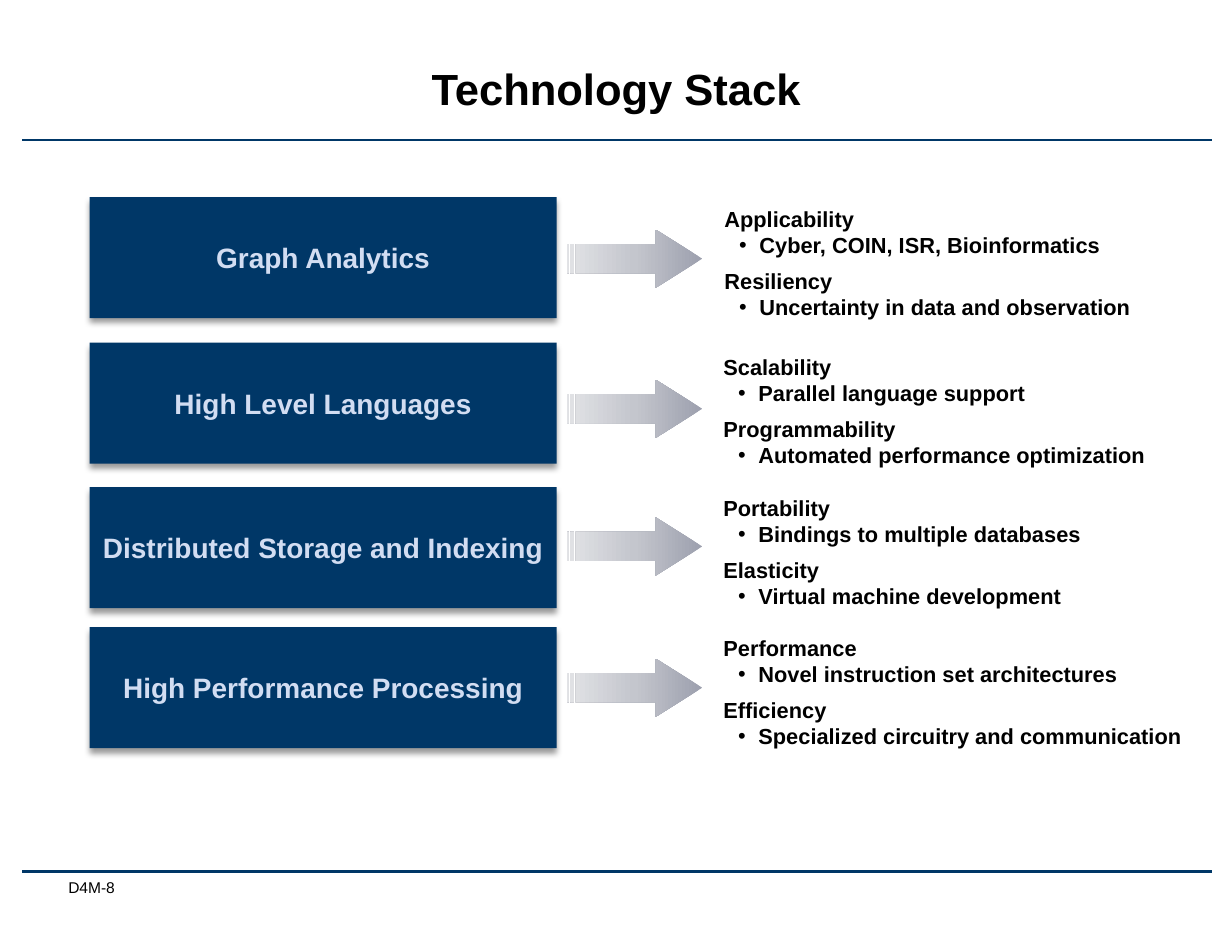
from lxml import etree
from pptx import Presentation
from pptx.dml.color import RGBColor
from pptx.enum import shapes, text
from pptx.oxml import ns
from pptx.util import Pt

NAVY = RGBColor(0x00, 0x37, 0x67)
PALE = RGBColor(0xD2, 0xDD, 0xF2)
BLACK = RGBColor(0, 0, 0)
ARROW_STOPS = [
    (0, RGBColor(0x9D, 0xA0, 0xAE)),
    (50, RGBColor(0xC4, 0xC6, 0xCD)),
    (100, RGBColor(0xE2, 0xE3, 0xE6)),
]

LAYERS = [
    ("Graph Analytics", 126.7, (458.6, 128.9, 282.2), 147.6,
     [("Applicability", "Cyber, COIN, ISR, Bioinformatics"),
      ("Resiliency", "Uncertainty in data and observation")]),
    ("High Level Languages", 220.3, (458, 223.9, 300.2), 244.1,
     [("Scalability", "Parallel language support"),
      ("Programmability", "Automated performance optimization")]),
    ("Distributed Storage and Indexing", 313.2, (458, 314.6, 288), 332.6,
     [("Portability", "Bindings to multiple databases"),
      ("Elasticity", "Virtual machine development")]),
    ("High Performance Processing", 403.2, (458, 404.6, 311.8), 423.4,
     [("Performance", "Novel instruction set architectures"),
      ("Efficiency", "Specialized circuitry and communication")]),
]


def add_xml(parent, tag, **attributes):
    return etree.SubElement(parent, ns.qn(tag), {k: str(v) for k, v in attributes.items()})


def write(para, words, size, color=BLACK, bold=True, align=None, before=None, line=None):
    span = para.add_run()
    span.text = words
    span.font.name = "Arial"
    span.font.size = Pt(size)
    span.font.bold = bold
    span.font.color.rgb = color
    para.alignment = align
    if before is not None:
        para.space_before = Pt(before)
    if line is not None:
        para.line_spacing = Pt(line)


def add_text_box(page, left, top, width, height, margins=(7.2, 3.6, 7.2, 3.6)):
    frame = page.shapes.add_textbox(Pt(left), Pt(top), Pt(width), Pt(height)).text_frame
    frame.word_wrap = True
    frame.margin_left, frame.margin_top, frame.margin_right, frame.margin_bottom = map(Pt, margins)
    return frame


def add_rule(page, left, top, width):
    rule = page.shapes.add_connector(
        shapes.MSO_CONNECTOR.STRAIGHT, Pt(left), Pt(top), Pt(left + width), Pt(top))
    rule.line.color.rgb = NAVY
    rule.line.width = Pt(1.75)
    add_xml(rule._element.spPr, "a:effectLst")


def add_title(page, left, top, width, height):
    frame = add_text_box(page, left, top, width, height, (7.9, 4.3, 7.9, 4.3))
    frame.vertical_anchor = text.MSO_ANCHOR.MIDDLE
    write(frame.paragraphs[0], "Technology Stack", 28, align=text.PP_ALIGN.CENTER, line=30)


def add_footer(page, left, top, width, height):
    frame = add_text_box(page, left, top, width, height, (4.3, 0, 0, 0))
    write(frame.paragraphs[0], "D4M-8", 10, bold=False)


def add_layer(page, name, left, top, width, height):
    box = page.shapes.add_shape(
        shapes.MSO_SHAPE.ROUNDED_RECTANGLE, Pt(left), Pt(top), Pt(width), Pt(height))
    box.adjustments[0] = 0
    box.fill.solid()
    box.fill.fore_color.rgb = NAVY
    box.line.fill.background()
    box.shadow.inherit = False
    effects = box._element.spPr.find(ns.qn("a:effectLst"))
    shadow = add_xml(effects, "a:outerShdw", blurRad=Pt(4), dist=Pt(3), dir=5400000, rotWithShape=0)
    add_xml(add_xml(shadow, "a:srgbClr", val=BLACK), "a:alpha", val=40000)
    frame = box.text_frame
    frame.word_wrap = True
    frame.vertical_anchor = text.MSO_ANCHOR.MIDDLE
    write(frame.paragraphs[0], name, 18, PALE, align=text.PP_ALIGN.CENTER)


def add_arrow(page, left, top, width, height):
    arrow = page.shapes.add_shape(
        shapes.MSO_SHAPE.STRIPED_RIGHT_ARROW, Pt(left), Pt(top), Pt(width), Pt(height))
    arrow.adjustments[0] = 0.5
    arrow.adjustments[1] = 0.8
    arrow.shadow.inherit = False
    arrow.line.fill.background()
    arrow.fill.gradient()
    arrow.fill.gradient_angle = 180
    stops = arrow._element.spPr.find(".//" + ns.qn("a:gsLst"))
    for stop in list(stops):
        stops.remove(stop)
    for percent, color in ARROW_STOPS:
        add_xml(add_xml(stops, "a:gs", pos=percent * 1000), "a:srgbClr", val=color)


def add_benefits(page, benefits, left, top, width, height):
    frame = add_text_box(page, left, top, width, height)
    for index, (heading, detail) in enumerate(benefits):
        para = frame.add_paragraph() if index else frame.paragraphs[0]
        write(para, heading, 14, before=6 if index else 0)
        para = frame.add_paragraph()
        write(para, detail, 14)
        properties = para._p.get_or_add_pPr()
        properties.set("marL", str(Pt(22.5)))
        properties.set("indent", str(-Pt(13)))
        add_xml(properties, "a:buFont", typeface="Arial")
        add_xml(properties, "a:buChar", char="•")


def main():
    deck = Presentation()
    deck.slide_width, deck.slide_height = Pt(792), Pt(612)
    page = deck.slides.add_slide(deck.slide_layouts[6])
    for top in (90, 560.2):
        add_rule(page, 14.4, top, 764.6)
    add_footer(page, 39.6, 564.5, 94.3, 19.4)
    add_title(page, 81.4, 22.3, 629.3, 72.7)
    for name, top, (text_left, text_top, text_width), arrow_top, benefits in LAYERS:
        add_layer(page, name, 57.6, top, 300.2, 77.8)
        add_arrow(page, 364.3, arrow_top, 87.1, 37.4)
        add_benefits(page, benefits, text_left, text_top, text_width, 81.4)
    deck.save("out.pptx")


if __name__ == "__main__":
    main()
